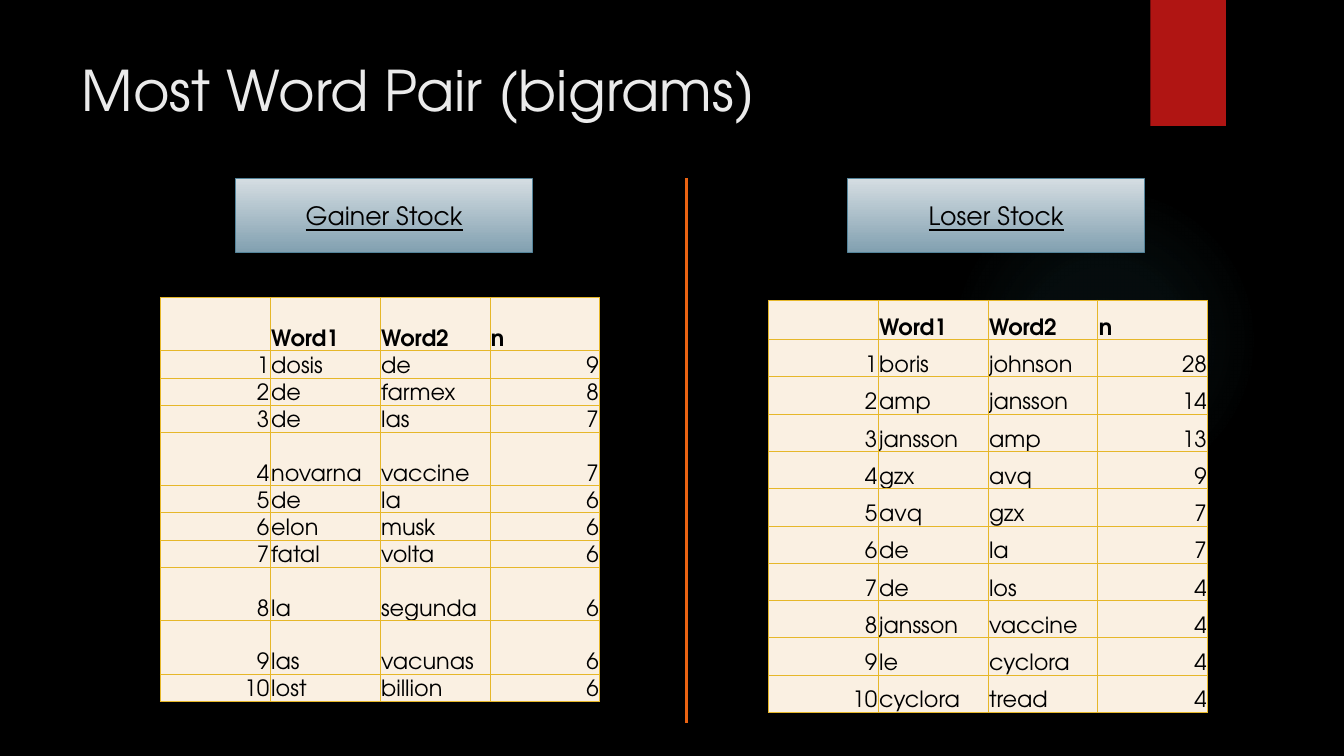
from lxml import etree
from pptx import Presentation
from pptx.dml.color import RGBColor
from pptx.enum.shapes import MSO_CONNECTOR, MSO_SHAPE
from pptx.enum.text import MSO_ANCHOR, PP_ALIGN
from pptx.oxml import parse_xml
from pptx.oxml.ns import qn
from pptx.util import Inches, Pt

RECT, OVAL = MSO_SHAPE.RECTANGLE, MSO_SHAPE.OVAL
STRAIGHT = MSO_CONNECTOR.STRAIGHT
LEFT, CENTER, RIGHT = PP_ALIGN.LEFT, PP_ALIGN.CENTER, PP_ALIGN.RIGHT
TOP, MIDDLE, BOTTOM = MSO_ANCHOR.TOP, MSO_ANCHOR.MIDDLE, MSO_ANCHOR.BOTTOM
A_NS = "http://schemas.openxmlformats.org/drawingml/2006/main"
FONT = "TeX Gyre Adventor"
C = {"bg": "000000", "title": "EBEBEB", "text": "000000", "ribbon": "B01513",
     "glow": "50B9C1", "label_top": "D5DDE2", "label_end": "81A0B0",
     "label_line": "54849A", "cell": "FAF0E2", "grid": "E6B729",
     "divider": "EA6312", "shadow": "000000"}
HEADER = ("", "Word1", "Word2", "n")
GAINERS = [("dosis", "de", 9), ("de", "farmex", 8), ("de", "las", 7),
           ("novarna", "vaccine", 7), ("de", "la", 6), ("elon", "musk", 6),
           ("fatal", "volta", 6), ("la", "segunda", 6), ("las", "vacunas", 6),
           ("lost", "billion", 6)]
LOSERS = [("boris", "johnson", 28), ("amp", "jansson", 14),
          ("jansson", "amp", 13), ("gzx", "avq", 9), ("avq", "gzx", 7),
          ("de", "la", 7), ("de", "los", 4), ("jansson", "vaccine", 4),
          ("le", "cyclora", 4), ("cyclora", "tread", 4)]
TALL, SHORT, EVEN = 0.53, 0.27, 0.37
GAINER_ROWS = [TALL if i in (0, 4, 8, 9) else SHORT for i in range(11)]
LOSER_ROWS = [0.39] + [EVEN] * 10


def rgb(name):
    return RGBColor.from_string(C[name])


def write(tf, text, size=16, color="text", bold=False, underline=False, align=LEFT):
    p = tf.paragraphs[0]
    p.alignment = align
    r = p.add_run()
    r.text = text
    f = r.font
    f.name, f.size, f.bold, f.underline = FONT, Pt(size), bold, underline
    f.color.rgb = rgb(color)


def add_shadow(sp):
    sp_pr = sp._element.spPr
    effects = sp_pr.find(qn("a:effectLst"))
    if effects is None:
        effects = etree.SubElement(sp_pr, qn("a:effectLst"))
    effects.append(parse_xml(
        f'<a:outerShdw xmlns:a="{A_NS}" blurRad="38100" dist="25400" dir="5400000" '
        f'rotWithShape="0"><a:srgbClr val="{C["shadow"]}"><a:alpha val="45000"/>'
        '</a:srgbClr></a:outerShdw>'))


def add_block(s, kind, box):
    sp = s.shapes.add_shape(kind, *map(Inches, box))
    sp.shadow.inherit = False
    sp.line.fill.background()
    return sp


def add_backdrop(s):
    s.background.fill.solid()
    s.background.fill.fore_color.rgb = rgb("bg")
    glow = add_block(s, OVAL, (9.41, 1.83, 3.08, 3.08))
    stops = "".join(
        f'<a:gs pos="{pos}000"><a:srgbClr val="{C["glow"]}">'
        f'<a:alpha val="{alpha}000"/></a:srgbClr></a:gs>'
        for pos, alpha in ((0, 7), (36, 6), (69, 0)))
    glow._element.spPr.find(qn("a:prstGeom")).addnext(parse_xml(
        f'<a:gradFill xmlns:a="{A_NS}"><a:gsLst>{stops}</a:gsLst><a:path path="circle">'
        '<a:fillToRect l="50000" t="50000" r="50000" b="50000"/></a:path></a:gradFill>'))
    ribbon = add_block(s, RECT, (11.41, 0, 0.75, 1.25))
    ribbon.fill.solid()
    ribbon.fill.fore_color.rgb = rgb("ribbon")
    add_shadow(ribbon)


def add_title(s, text, box):
    title = s.shapes.title
    title.left, title.top, title.width, title.height = map(Inches, box)
    title.text_frame.vertical_anchor = TOP
    title.text_frame.word_wrap = True
    write(title.text_frame, text, size=40, color="title")


def add_label(s, text, box):
    sp = add_block(s, RECT, box)
    sp.fill.gradient()
    sp.fill.gradient_angle = 270
    for stop, pos, name in zip(sp.fill.gradient_stops, (0, 1), ("label_top", "label_end")):
        stop.position = pos
        stop.color.rgb = rgb(name)
    sp.line.color.rgb = rgb("label_line")
    sp.line.width = Pt(0.75)
    sp.text_frame.vertical_anchor = MIDDLE
    write(sp.text_frame, text, size=18, underline=True, align=CENTER)


def format_cell(cell):
    cell.margin_left = cell.margin_right = cell.margin_top = Inches(0.01)
    cell.margin_bottom = 0
    cell.vertical_anchor = BOTTOM
    cell.fill.solid()
    cell.fill.fore_color.rgb = rgb("cell")
    tc_pr = cell._tc.get_or_add_tcPr()
    for i, side in enumerate(("lnL", "lnR", "lnT", "lnB")):
        tc_pr.insert(i, parse_xml(
            f'<a:{side} xmlns:a="{A_NS}" w="9525"><a:solidFill>'
            f'<a:srgbClr val="{C["grid"]}"/></a:solidFill></a:{side}>'))


def add_pairs(s, pairs, heights, left, top, width):
    rows = [HEADER] + [(i, *pair) for i, pair in enumerate(pairs, 1)]
    table = s.shapes.add_table(len(rows), len(HEADER), Inches(left), Inches(top),
                               Inches(width), Inches(sum(heights))).table
    for col in table.columns:
        col.width = Inches(width / len(HEADER))
    for i, (values, height) in enumerate(zip(rows, heights)):
        table.rows[i].height = Inches(height)
        for j, value in enumerate(values):
            cell = table.cell(i, j)
            format_cell(cell)
            if value != "":
                write(cell.text_frame, str(value), bold=i == 0,
                      align=RIGHT if isinstance(value, int) else LEFT)


def add_panel(s, heading, pairs, heights, left, top, label_inset, table_drop):
    add_label(s, heading, (left + label_inset, top, 2.94, 0.74))
    add_pairs(s, pairs, heights, left, top + table_drop, 4.36)


def add_divider(s, x, top, bottom):
    line = s.shapes.add_connector(STRAIGHT, *map(Inches, (x, top, x, bottom)))
    line.line.color.rgb = rgb("divider")
    line.line.width = Pt(2.25)
    add_shadow(line)


def main():
    prs = Presentation()
    prs.slide_width, prs.slide_height = Inches(13.33), Inches(7.5)
    s = prs.slides.add_slide(prs.slide_layouts[5])
    add_backdrop(s)
    add_title(s, "Most Word Pair (bigrams)", (0.71, 0.5, 10.64, 0.96))
    add_panel(s, "Loser Stock", LOSERS, LOSER_ROWS, 7.62, 1.77, 0.79, 1.21)
    add_panel(s, "Gainer Stock", GAINERS, GAINER_ROWS, 1.59, 1.77, 0.75, 1.18)
    add_divider(s, 6.81, 1.77, 7.17)
    prs.save("out.pptx")


if __name__ == "__main__":
    main()
